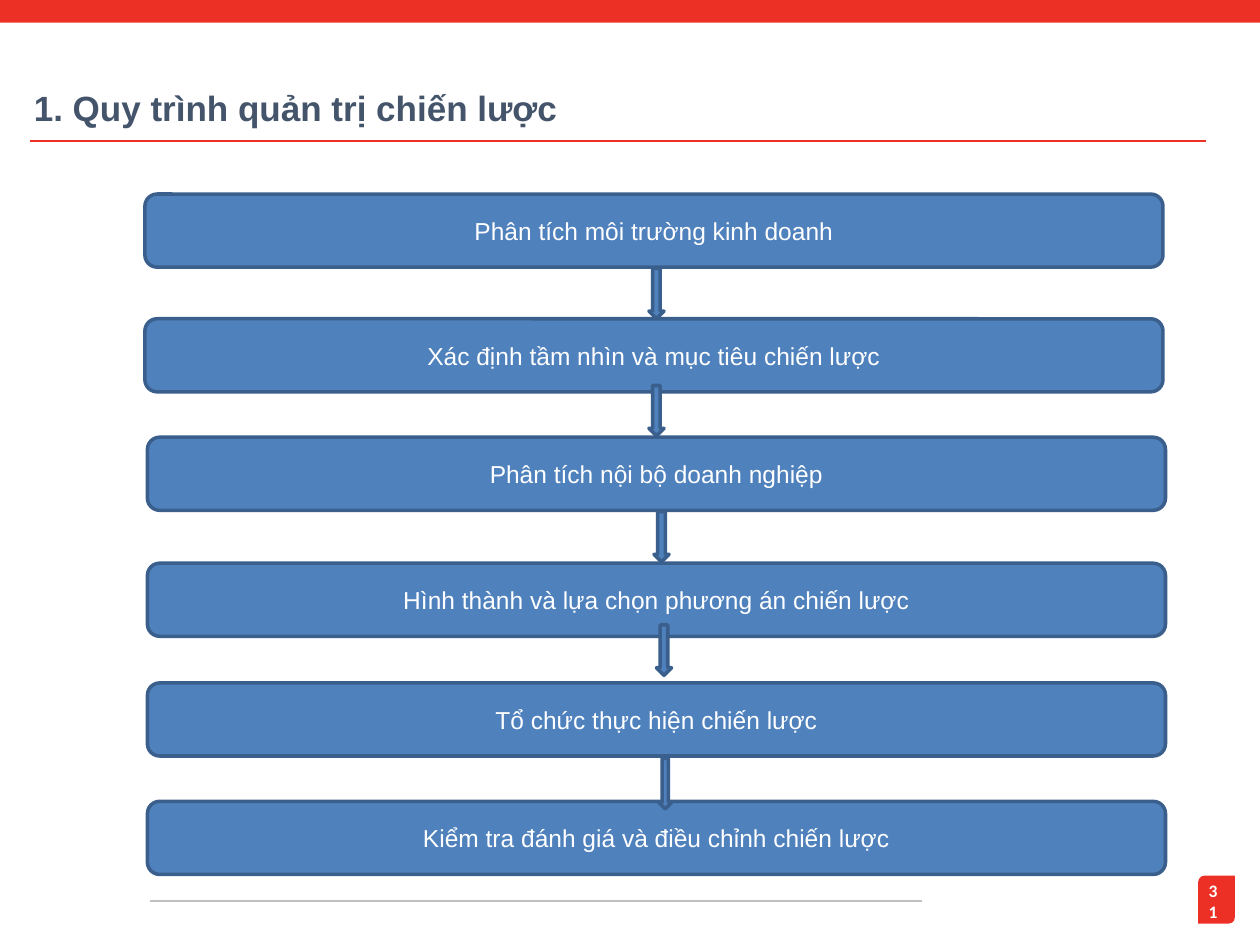
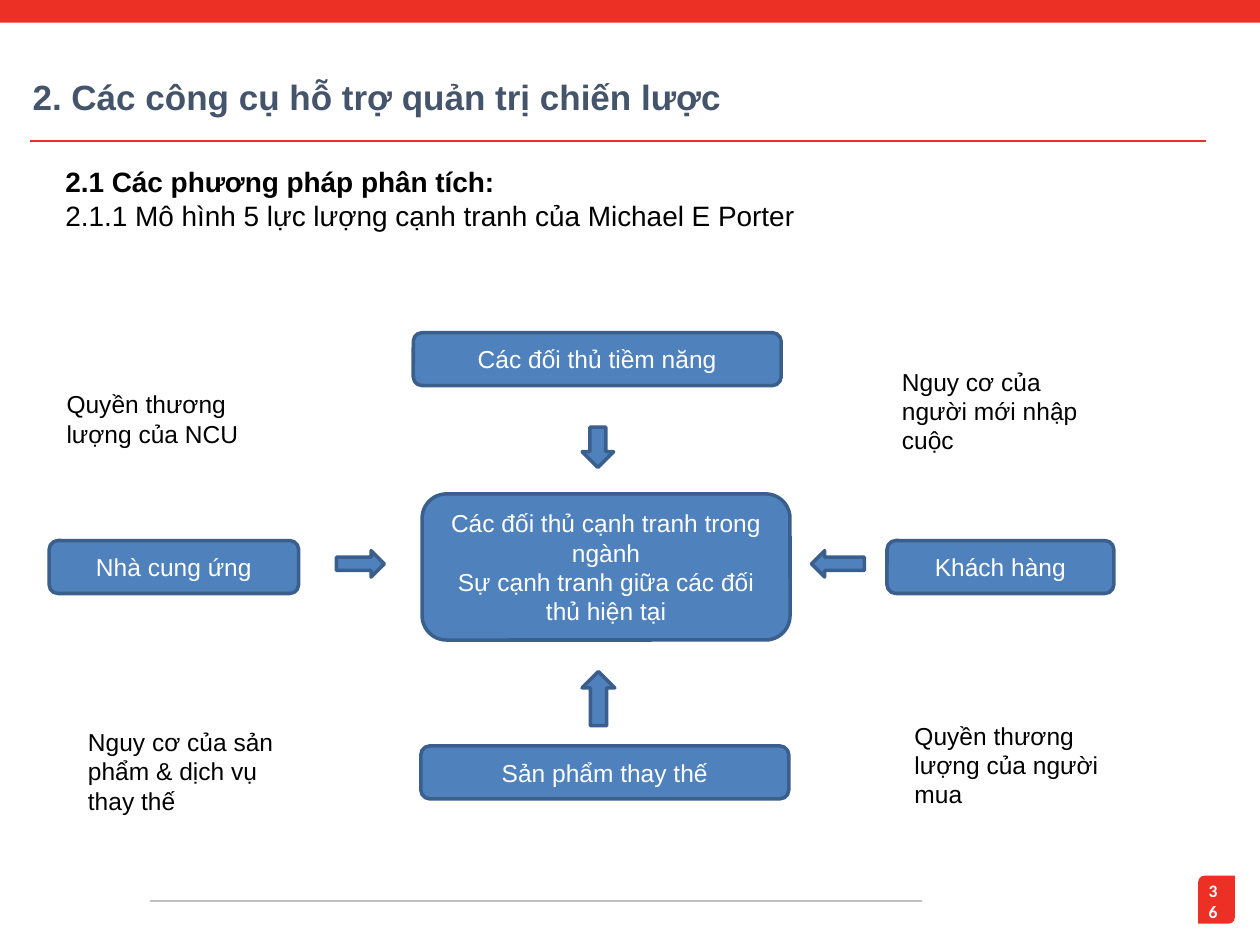
from typing import NamedTuple

from lxml import etree
from pptx import Presentation
from pptx.dml.color import RGBColor
from pptx.enum.shapes import MSO_CONNECTOR, MSO_SHAPE
from pptx.enum.text import MSO_ANCHOR, PP_ALIGN
from pptx.oxml.ns import qn
from pptx.util import Inches, Pt

RECT = MSO_SHAPE.RECTANGLE
ROUNDED = MSO_SHAPE.ROUNDED_RECTANGLE
BADGE = MSO_SHAPE.ROUND_2_DIAG_RECTANGLE
DOWN, UP = MSO_SHAPE.DOWN_ARROW, MSO_SHAPE.UP_ARROW
RIGHT, LEFT = MSO_SHAPE.RIGHT_ARROW, MSO_SHAPE.LEFT_ARROW
STRAIGHT = MSO_CONNECTOR.STRAIGHT
TOP, MIDDLE = MSO_ANCHOR.TOP, MSO_ANCHOR.MIDDLE
ALIGN_LEFT, CENTER, ALIGN_RIGHT = PP_ALIGN.LEFT, PP_ALIGN.CENTER, PP_ALIGN.RIGHT

RED, SLATE, GRAY = "ED3026", "44546A", "BFBFBF"
BLUE, BLUE_EDGE = "4F81BD", "3A5F8C"
BLACK, WHITE = "000000", "FFFFFF"


class Area(NamedTuple):
    left: float
    top: float
    width: float
    height: float


class Box(NamedTuple):
    area: Area
    lines: tuple[str, ...]


class Arrow(NamedTuple):
    kind: MSO_SHAPE
    area: Area


STEP_WIDTH, STEP_HEIGHT = 8.08, 0.58
STEPS = [
    Box(Area(left, top, STEP_WIDTH, STEP_HEIGHT), (label,))
    for left, top, label in (
        (1.15, 1.54, "Phân tích môi trường kinh doanh"),
        (1.15, 2.53, "Xác định tầm nhìn và mục tiêu chiến lược"),
        (1.17, 3.47, "Phân tích nội bộ doanh nghiệp"),
        (1.17, 4.47, "Hình thành và lựa chọn phương án chiến lược"),
        (1.17, 5.42, "Tổ chức thực hiện chiến lược"),
        (1.17, 6.36, "Kiểm tra đánh giá và điều chỉnh chiến lược"),
    )
]
STEP_ARROWS = [
    Arrow(DOWN, Area(left, top, width, 0.4))
    for left, top, width in (
        (5.15, 2.13, 0.12), (5.15, 3.06, 0.12), (5.19, 4.06, 0.12),
        (5.21, 4.96, 0.12), (5.23, 6.02, 0.1),
    )
]

FORCES = [
    Box(Area(3.28, 2.64, 2.92, 0.42), ("Các đối thủ tiềm năng",)),
    Box(Area(3.35, 3.92, 2.92, 1.16), (
        "Các đối thủ cạnh tranh trong ngành",
        "Sự cạnh tranh giữa các đối thủ hiện tại",
    )),
    Box(Area(3.34, 5.92, 2.92, 0.42), ("Sản phẩm thay thế",)),
    Box(Area(0.39, 4.29, 1.98, 0.42), ("Nhà cung ứng",)),
    Box(Area(7.04, 4.29, 1.8, 0.42), ("Khách hàng",)),
]
FORCE_ARROWS = [
    Arrow(DOWN, Area(4.62, 3.39, 0.25, 0.32)),
    Arrow(UP, Area(4.62, 5.33, 0.26, 0.43)),
    Arrow(RIGHT, Area(2.67, 4.37, 0.38, 0.21)),
    Arrow(LEFT, Area(6.44, 4.37, 0.42, 0.21)),
]
PRESSURES = [
    Box(Area(0.43, 3.04, 1.67, 0.57), ("Quyền thương lượng của NCU",)),
    Box(Area(0.6, 5.72, 1.67, 0.81), ("Nguy cơ của sản phẩm & dịch vụ thay thế",)),
    Box(Area(7.06, 2.86, 1.67, 0.81), ("Nguy cơ của người mới nhập cuộc",)),
    Box(Area(7.16, 5.67, 1.67, 0.81), ("Quyền thương lượng của người mua",)),
]


def rgb(color: str) -> RGBColor:
    return RGBColor.from_string(color)


def place(area: Area) -> list[int]:
    return [Inches(length) for length in area]


def write(frame, *lines: str, size: float = 14, color: str = BLACK,
          font: str = "Arial", bold_lines: int = 0, align=ALIGN_LEFT,
          anchor=TOP, spacing: float = 1.0, inset: float = 0.05) -> None:
    """Fill a text frame with one paragraph a line; the first bold_lines are bold."""
    frame.word_wrap = True
    frame.vertical_anchor = anchor
    frame.margin_top = frame.margin_bottom = Inches(inset)
    for index, line in enumerate(lines):
        paragraph = frame.add_paragraph() if index else frame.paragraphs[0]
        paragraph.alignment = align
        paragraph.line_spacing = spacing
        run = paragraph.add_run()
        run.text = line
        run.font.name, run.font.size = font, Pt(size)
        run.font.bold = index < bold_lines
        run.font.color.rgb = rgb(color)


def add_text(slide, area: Area, *lines: str, **text_format) -> None:
    write(slide.shapes.add_textbox(*place(area)).text_frame, *lines, **text_format)


def add_filled(slide, kind, area: Area, fill: str, edge: str | None = None):
    shape = slide.shapes.add_shape(kind, *place(area))
    shape.shadow.inherit = False
    shape.fill.solid()
    shape.fill.fore_color.rgb = rgb(fill)
    if edge:
        shape.line.color.rgb = rgb(edge)
        shape.line.width = Pt(2)
    else:
        shape.line.fill.background()
    return shape


def add_rule(slide, left: float, right: float, y: float, color: str) -> None:
    rule = slide.shapes.add_connector(
        STRAIGHT, Inches(left), Inches(y), Inches(right), Inches(y))
    rule.line.color.rgb = rgb(color)
    rule.line.width = Pt(0.75)
    etree.SubElement(rule._element.spPr, qn("a:effectLst"))


def add_boxes(slide, boxes: list[Box]) -> None:
    for box in boxes:
        shape = add_filled(slide, ROUNDED, box.area, BLUE, BLUE_EDGE)
        write(shape.text_frame, *box.lines, color=WHITE, align=CENTER, anchor=MIDDLE)


def add_arrows(slide, arrows: list[Arrow]) -> None:
    for arrow in arrows:
        add_filled(slide, arrow.kind, arrow.area, BLUE, BLUE_EDGE)


def add_framed_slide(deck, title: str, title_left: float, title_top: float, number: int):
    """Add a blank slide with the band, rules, page badge and title."""
    slide = deck.slides.add_slide(deck.slide_layouts[6])
    add_filled(slide, RECT, Area(0, 0, 10, 0.18), RED)
    add_filled(slide, BADGE, Area(9.51, 6.95, 0.29, 0.38), RED)
    add_text(slide, Area(9.47, 6.95, 0.29, 0.4), str(number), size=10, color=WHITE,
             font="Calibri", bold_lines=1, align=ALIGN_RIGHT, anchor=MIDDLE)
    add_rule(slide, 1.19, 7.32, 7.15, GRAY)
    add_rule(slide, 0.24, 9.57, 1.12, RED)
    add_text(slide, Area(title_left, title_top, 8.62, 0.59), title, size=20, color=SLATE,
             bold_lines=1, anchor=MIDDLE, spacing=0.9, inset=0.1)
    return slide


def add_process_slide(deck) -> None:
    slide = add_framed_slide(deck, "1. Quy trình quản trị chiến lược", 0.17, 0.58, 31)
    add_boxes(slide, STEPS)
    add_arrows(slide, STEP_ARROWS)


def add_five_forces_slide(deck) -> None:
    slide = add_framed_slide(
        deck, "2. Các công cụ hỗ trợ quản trị chiến lược", 0.16, 0.49, 36)
    add_text(slide, Area(0.42, 1.26, 9, 1.11),
             "2.1 Các phương pháp phân tích:",
             "2.1.1 Mô hình 5 lực lượng cạnh tranh của Michael E Porter",
             size=16, bold_lines=1)
    add_boxes(slide, FORCES)
    add_arrows(slide, FORCE_ARROWS)
    for pressure in PRESSURES:
        add_text(slide, pressure.area, *pressure.lines)


def main() -> None:
    deck = Presentation()
    deck.slide_width, deck.slide_height = Inches(10), Inches(7.5)
    add_process_slide(deck)
    add_five_forces_slide(deck)
    deck.save("out.pptx")


if __name__ == "__main__":
    main()
